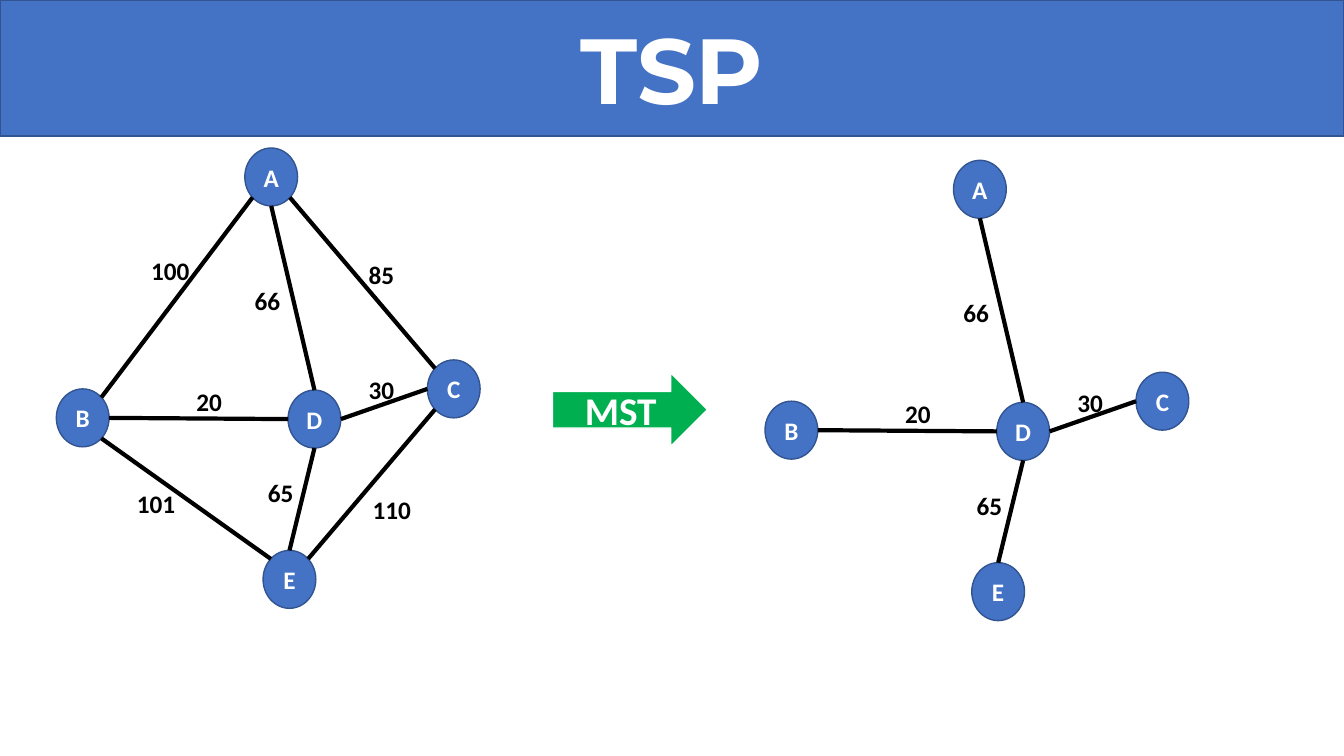
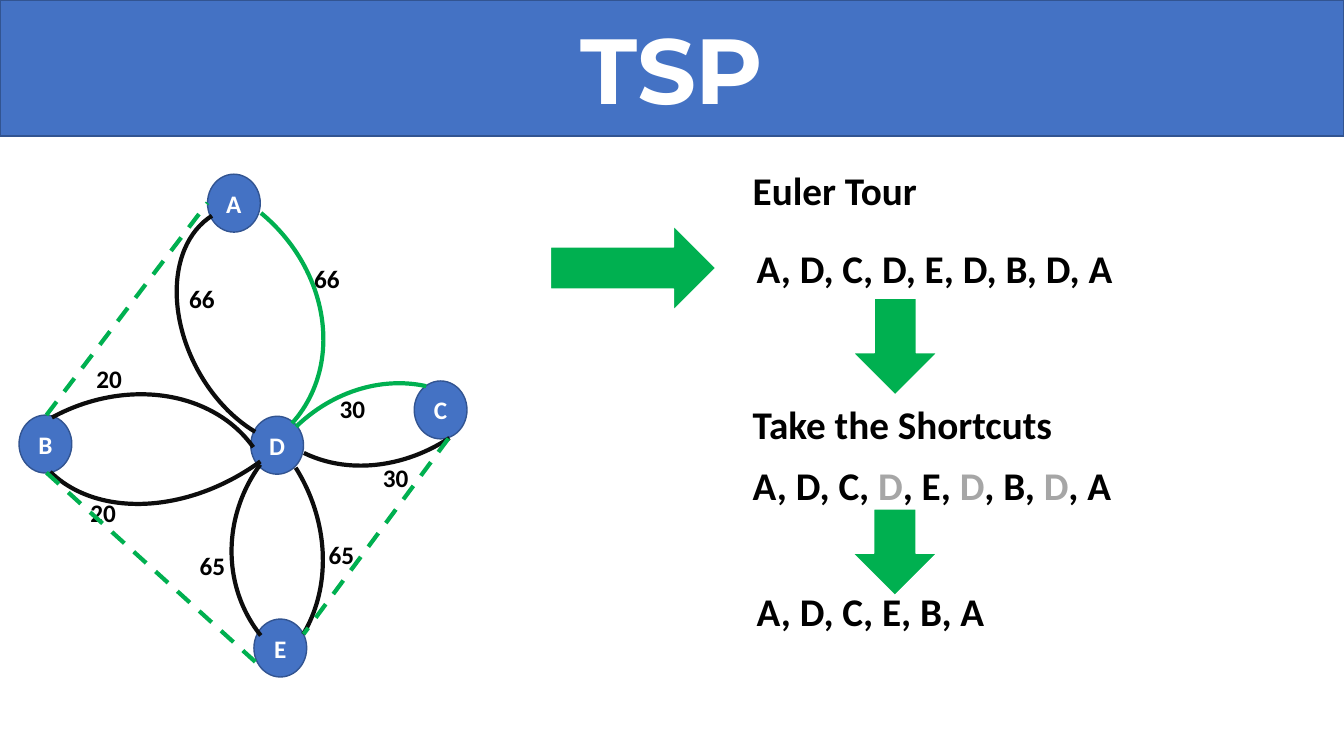
"""Build two slides on the travelling salesman problem: spanning tree and Euler tour."""
from math import sqrt

from lxml import etree
from pptx import Presentation, util as u
from pptx.dml.color import RGBColor
from pptx.enum import dml, shapes, text
from pptx.oxml.ns import qn

BLUE, BLUE_EDGE, GREEN = "4472C4", "325491", "00B050"
BLACK, INK, GREY, WHITE = "000000", "0D0D0D", "A6A6A6", "FFFFFF"
SLIDE_SIZE, BAND_HEIGHT = (33.87, 19.05), 3.43
NODE_SIZE, LABEL_SIZE, STEP_SIZE = (1.33, 1.46), (1.63, 0.94), (14.94, 1.45)

GRAPH_NODES = {"B": (1.42, 9.8), "E": (6.63, 13.87), "C": (10.77, 9.07),
               "A": (6.17, 3.73), "D": (7.26, 9.83)}
GRAPH_EDGES = [
    ("B", "NE", "A", "SW", "100", (3.56, 6.3)),
    ("A", "SE", "C", "NW", "85", (9.04, 6.4)),
    ("B", "E", "D", "W", "20", (4.7, 9.6)),
    ("D", "N", "A", "S", "66", (6.17, 7.06)),
    ("D", "E", "C", "W", "30", (9.04, 9.32)),
    ("B", "SE", "E", "NW", "101", (3.2, 12.19)),
    ("E", "NE", "C", "SW", "110", (9.14, 12.34)),
    ("D", "S", "E", "N", "65", (6.5, 11.91)),
]
TREE_WEIGHTS = {"20", "66", "30", "65"}
TREE_EDGES = [edge for edge in GRAPH_EDGES if edge[4] in TREE_WEIGHTS]
TREE_OFFSET = (17.86, 0.31)
MST_ARROW = (13.92, 9.4, 3.91, 1.85)

TOUR_NODES = {"B": (0.48, 10.46), "E": (6.4, 15.6), "C": (10.44, 9.6),
              "A": (5.23, 4.39), "D": (6.32, 10.49)}
TOUR_LABELS = [
    ("20", (2.18, 9.04)), ("20", (2.03, 12.4)), ("65", (4.78, 13.74)), ("65", (8.03, 13.46)),
    ("30", (8.31, 9.78)), ("30", (9.4, 11.53)), ("66", (4.52, 7.01)), ("66", (7.67, 6.5)),
]
TOUR_ARCS = [
    ((0.51, 4.62, 7.87, 6.81), 42.2, (159.94, 0), GREEN),
    ((3.73, 5.97, 6.43, 4.5), 242.2, (131.24, 214.71), INK),
    ((-1.07, 10.08, 8.1, 6.73), 333.7, (159.94, 212.23), INK),
    ((0.2, 5.82, 8.76, 6.48), 145.8, (159.94, 212.23), INK),
    ((5.84, 9.98, 7.65, 6.76), 302.3, (172.52, 206.54), GREEN),
    ((5.82, 4.95, 7.67, 6.53), 139.3, (168.07, 205.61), INK),
    ((0.66, 10.24, 7.87, 6.81), 60.4, (159.94, 202.25), INK),
    ((5.97, 9.96, 7.06, 7.47), 234, (160.59, 204.04), INK),
]
SHORTCUTS = [((11.3, 11.05), (7.65, 15.98)), ((1.17, 11.91), (6.58, 16.81)),
             ((1.17, 10.46), (5.23, 5.11))]
STEPS = [
    ((18.72, 4.06), [("Euler Tour", BLACK)]),
    ((18.82, 6.02), [("A, D, C, D, E, D, B, D, A", BLACK)]),
    ((18.72, 9.96), [("Take the Shortcuts", BLACK)]),
    ((18.72, 11.51), [("A, D, C, ", BLACK), ("D", GREY), (", E, ", BLACK), ("D", GREY),
                      (", B, ", BLACK), ("D", GREY), (", A", BLACK)]),
    ((18.82, 14.68), [("A, D, C, E, B, A", BLACK)]),
]
STEP_ARROWS = [((13.87, 5.69, 4.17, 2.13), 0), ((21.34, 7.67, 2.44, 2.13), 90),
               ((21.46, 12.85, 2.18, 2.13), 90)]


def colour(value):
    """Turn a hex string into a colour."""
    return RGBColor.from_string(value)


def lengths(values):
    """Turn centimetres into slide lengths."""
    return [u.Cm(value) for value in values]


def write(box, spans, size=18, font="Calibri", align=text.PP_ALIGN.LEFT):
    """Write bold coloured spans into the first paragraph of a box."""
    para = box.text_frame.paragraphs[0]
    para.alignment = align
    for words, shade in spans:
        span = para.add_run()
        span.text = words
        span.font.name, span.font.size, span.font.bold = font, u.Pt(size), True
        span.font.color.rgb = colour(shade)


def add_text(page, spot, size, spans, points=18):
    """Add a wrapping text box that grows with its text."""
    box = page.shapes.add_textbox(*lengths(spot + size))
    box.text_frame.word_wrap = True
    box.text_frame.auto_size = text.MSO_AUTO_SIZE.SHAPE_TO_FIT_TEXT
    write(box, spans, points)


def add_block(page, kind, place, fill, edge, words="", turn=0, size=18, font="Calibri"):
    """Add a filled preset shape with centred white text."""
    block = page.shapes.add_shape(kind, *lengths(place))
    block.shadow.inherit = False
    block.rotation = turn
    block.fill.solid()
    block.fill.fore_color.rgb = colour(fill)
    block.line.color.rgb = colour(edge)
    block.line.width = u.Pt(1)
    block.text_frame.vertical_anchor = text.MSO_ANCHOR.MIDDLE
    if words:
        write(block, [(words, WHITE)], size, font, text.PP_ALIGN.CENTER)


def add_arrow(page, place, words="", turn=0):
    """Add a green block arrow."""
    add_block(page, shapes.MSO_SHAPE.RIGHT_ARROW, place, GREEN, WHITE, words, turn, size=28)


def add_line(page, start, end, shade=BLACK, dash=None):
    """Add a straight line without a shadow."""
    line = page.shapes.add_connector(shapes.MSO_CONNECTOR.STRAIGHT, *lengths(start + end))
    line.line.color.rgb = colour(shade)
    line.line.width = u.Pt(3)
    if dash:
        line.line.dash_style = dash
    etree.SubElement(line._element.spPr, qn("a:effectLst"))


def add_arc(page, place, turn, span, shade):
    """Add a rotated open arc."""
    arc = page.shapes.add_shape(shapes.MSO_SHAPE.ARC, *lengths(place))
    arc.shadow.inherit = False
    arc.rotation = turn
    arc.adjustments[0], arc.adjustments[1] = span
    arc.fill.background()
    arc.line.color.rgb = colour(shade)
    arc.line.width = u.Pt(3)


def rim_point(corner, side):
    """Find the point of a node's rim that faces a compass side."""
    across = ("E" in side) - ("W" in side)
    down = ("S" in side) - ("N" in side)
    reach = sqrt(across ** 2 + down ** 2)
    return tuple(start + extent / 2 * (1 + step / reach)
                 for start, extent, step in zip(corner, NODE_SIZE, (across, down)))


def add_nodes(page, nodes):
    """Add the lettered circles of a graph."""
    for name, corner in nodes.items():
        add_block(page, shapes.MSO_SHAPE.OVAL, corner + NODE_SIZE, BLUE, BLUE_EDGE, name)


def add_graph(page, edges, offset=(0, 0)):
    """Add nodes and weighted edges, moved by an offset."""
    def moved(spot):
        return tuple(value + shift for value, shift in zip(spot, offset))

    nodes = {name: moved(corner) for name, corner in GRAPH_NODES.items()}
    add_nodes(page, nodes)
    for first, first_side, last, last_side, weight, spot in edges:
        add_line(page, rim_point(nodes[first], first_side), rim_point(nodes[last], last_side))
        add_text(page, moved(spot), LABEL_SIZE, [(weight, BLACK)])


def add_page(deck):
    """Add a blank page with the title band."""
    page = deck.slides.add_slide(deck.slide_layouts[6])
    add_block(page, shapes.MSO_SHAPE.RECTANGLE, (0, 0, SLIDE_SIZE[0], BAND_HEIGHT),
              BLUE, BLUE_EDGE, "TSP", size=66, font="Montserrat")
    return page


def main():
    """Build and save the deck."""
    deck = Presentation()
    deck.slide_width, deck.slide_height = lengths(SLIDE_SIZE)

    page = add_page(deck)
    add_graph(page, GRAPH_EDGES)
    add_graph(page, TREE_EDGES, TREE_OFFSET)
    add_arrow(page, MST_ARROW, "MST")

    page = add_page(deck)
    add_nodes(page, TOUR_NODES)
    for arc in TOUR_ARCS:
        add_arc(page, *arc)
    for weight, spot in TOUR_LABELS:
        add_text(page, spot, LABEL_SIZE, [(weight, BLACK)])
    for spot, spans in STEPS:
        add_text(page, spot, STEP_SIZE, spans, 28)
    for place, turn in STEP_ARROWS:
        add_arrow(page, place, turn=turn)
    for start, end in SHORTCUTS:
        add_line(page, start, end, GREEN, dml.MSO_LINE.DASH)

    deck.save("out.pptx")


if __name__ == "__main__":
    main()
